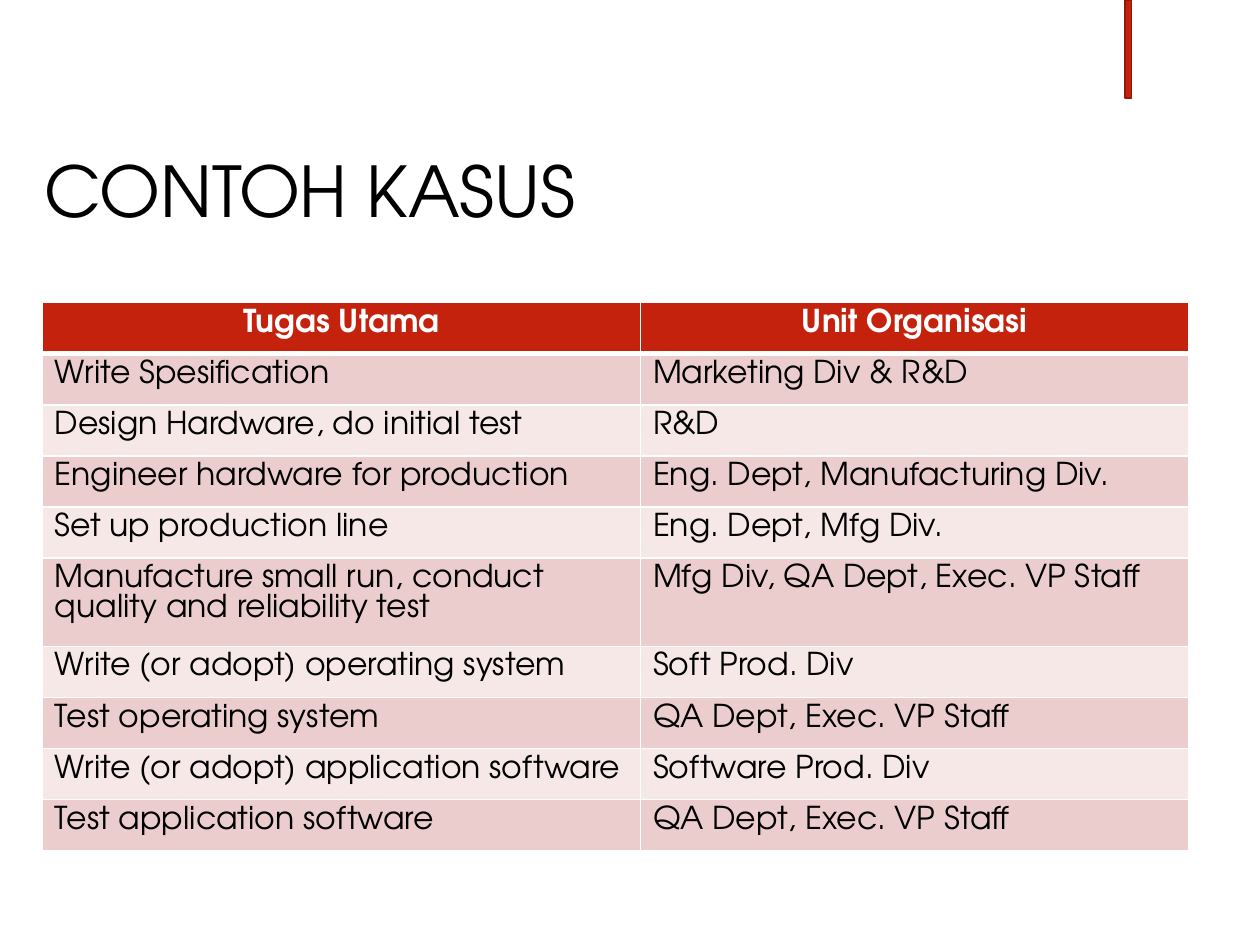
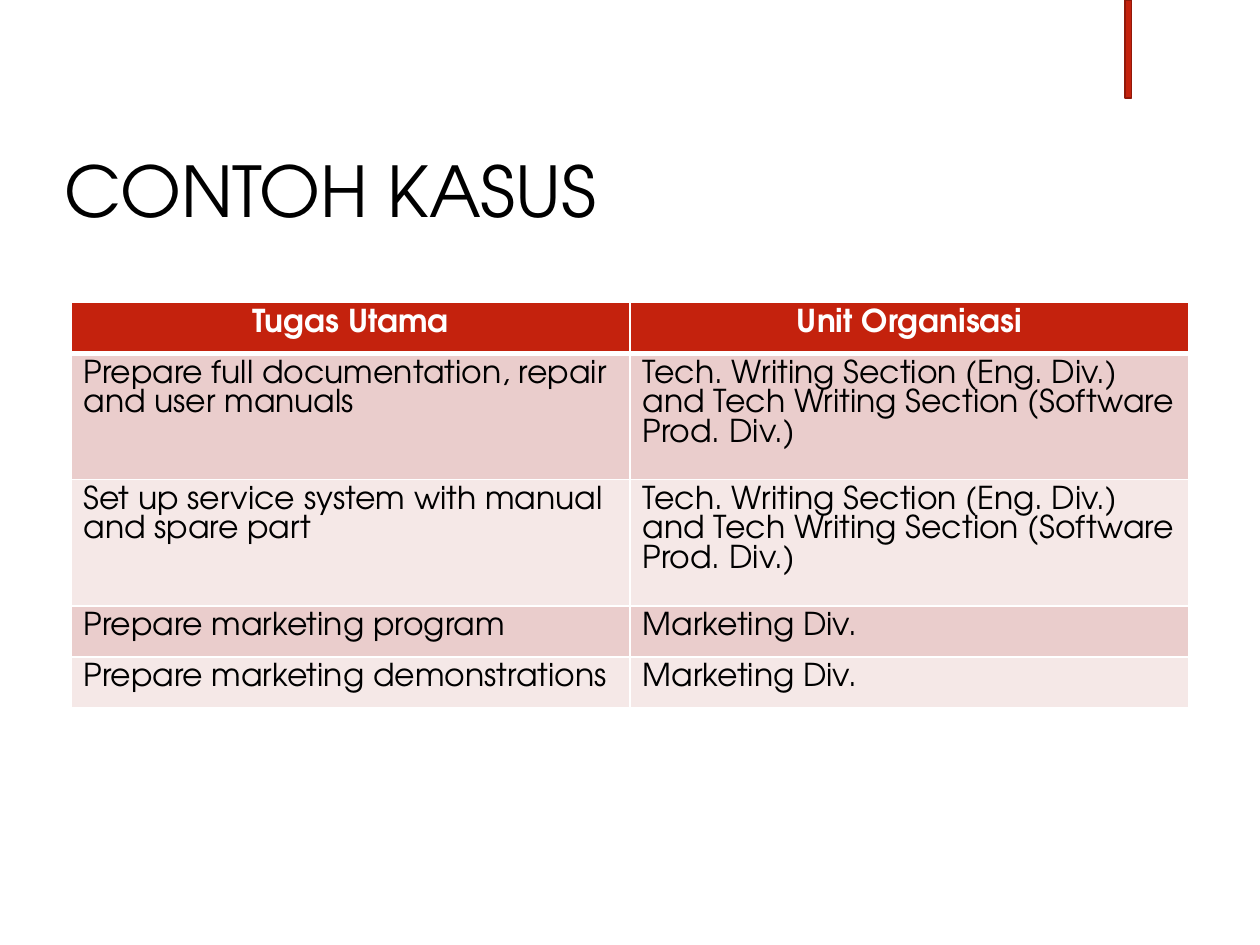
import pptx
import pptx.dml.color
import pptx.enum.shapes
import pptx.enum.text
import pptx.oxml
import pptx.oxml.ns
import pptx.util
from pptx.util import Cm

FONT = "TeX Gyre Adventor"
RED, DARK_RED, BLACK, WHITE = "C4220D", "91190A", "000000", "FFFFFF"
BANDS = ("EACDCC", "F5E8E7")
TITLE_FORMAT = {"name": FONT, "size": pptx.util.Pt(40), "bold": False}
HEADER_FORMAT = {"name": FONT, "size": pptx.util.Pt(18), "bold": True}
BODY_FORMAT = {**HEADER_FORMAT, "bold": False}
ALIGN = pptx.enum.text.PP_ALIGN

CONTENT_RIGHT = 23.98
TABLE_TOP = Cm(6.1)
ROW_HEIGHT = Cm(1.03)
HEADINGS = ("Tugas Utama", "Unit Organisasi")
WRITING_SECTIONS = ("Tech. Writing Section (Eng. Div.) and "
                    "Tech Writing Section (Software Prod. Div.)")

DEVELOPMENT_TASKS = [
    ("Write Spesification", "Marketing Div & R&D"),
    ("Design Hardware, do initial test", "R&D"),
    ("Engineer hardware for production", "Eng. Dept, Manufacturing Div."),
    ("Set up production line", "Eng. Dept, Mfg Div."),
    ("Manufacture small run, conduct quality and reliability test",
     "Mfg Div, QA Dept, Exec. VP Staff"),
    ("Write (or adopt) operating system", "Soft Prod. Div"),
    ("Test operating system", "QA Dept, Exec. VP Staff"),
    ("Write (or adopt) application software", "Software Prod. Div"),
    ("Test application software", "QA Dept, Exec. VP Staff"),
]
LAUNCH_TASKS = [
    ("Prepare full documentation, repair and user manuals", WRITING_SECTIONS),
    ("Set up service system with manual and spare part", WRITING_SECTIONS),
    ("Prepare marketing program", "Marketing Div."),
    ("Prepare marketing demonstrations", "Marketing Div."),
]


def color(value):
    return pptx.dml.color.RGBColor.from_string(value)


def write(paragraph, text, text_format, text_color, align=ALIGN.LEFT):
    span = paragraph.add_run()
    span.text = text
    for name, value in text_format.items():
        setattr(span.font, name, value)
    span.font.color.rgb = color(text_color)
    paragraph.alignment = align


def add_accent_bar(page):
    bar = page.shapes.add_shape(pptx.enum.shapes.MSO_SHAPE.RECTANGLE,
                                Cm(22.68), 0, Cm(0.13), Cm(1.98))
    bar.shadow.inherit = False
    bar.fill.solid()
    bar.fill.fore_color.rgb = color(RED)
    bar.line.color.rgb = color(DARK_RED)
    bar.line.width = pptx.util.Pt(1)


def add_title(page, text, left):
    box = page.shapes.add_textbox(Cm(left), Cm(2.13), Cm(CONTENT_RIGHT - left), Cm(3.58))
    frame = box.text_frame
    frame.word_wrap = True
    frame.vertical_anchor = pptx.enum.text.MSO_ANCHOR.MIDDLE
    frame.paragraphs[0].line_spacing = 0.9
    write(frame.paragraphs[0], text, TITLE_FORMAT, BLACK)


def set_borders(cell, **widths):
    """Draw white cell edges, 1 pt wide unless a width is given for L, R, T or B."""
    properties = cell._tc.get_or_add_tcPr()
    for edge in "LRTB":
        width = pptx.util.Pt(widths.get(edge, 1))
        properties.append(pptx.oxml.parse_xml(
            f'<a:ln{edge} {pptx.oxml.ns.nsdecls("a")} w="{width}"><a:solidFill>'
            f'<a:srgbClr val="{WHITE}"/></a:solidFill></a:ln{edge}>'))


def fill_cell(cell, text, fill, *text_style, **border_widths):
    set_borders(cell, **border_widths)
    cell.fill.solid()
    cell.fill.fore_color.rgb = color(fill)
    write(cell.text_frame.paragraphs[0], text, *text_style)


def add_task_table(page, tasks, left, column_widths):
    row_count = len(tasks) + 1
    table = page.shapes.add_table(row_count, len(HEADINGS), Cm(left), TABLE_TOP,
                                  Cm(sum(column_widths)), ROW_HEIGHT * row_count).table
    for column, width in zip(table.columns, column_widths):
        column.width = Cm(width)
    for row in table.rows:
        row.height = ROW_HEIGHT
    for column, heading in enumerate(HEADINGS):
        fill_cell(table.cell(0, column), heading, RED,
                  HEADER_FORMAT, WHITE, ALIGN.CENTER, B=3)
    for row, task in enumerate(tasks, start=1):
        for column, text in enumerate(task):
            fill_cell(table.cell(row, column), text, BANDS[(row - 1) % 2],
                      BODY_FORMAT, BLACK, T=3 if row == 1 else 1)


def add_case_page(deck, title_left, table_left, column_widths, tasks):
    page = deck.slides.add_slide(deck.slide_layouts[6])
    add_accent_bar(page)
    add_title(page, "CONTOH KASUS", title_left)
    add_task_table(page, tasks, table_left, column_widths)


def main():
    deck = pptx.Presentation()
    deck.slide_width, deck.slide_height = Cm(25.4), Cm(19.05)
    add_case_page(deck, 0.64, 0.85, (12.06, 11.05), DEVELOPMENT_TASKS)
    add_case_page(deck, 1.06, 1.43, (11.27, 11.27), LAUNCH_TASKS)
    deck.save("out.pptx")


if __name__ == "__main__":
    main()
